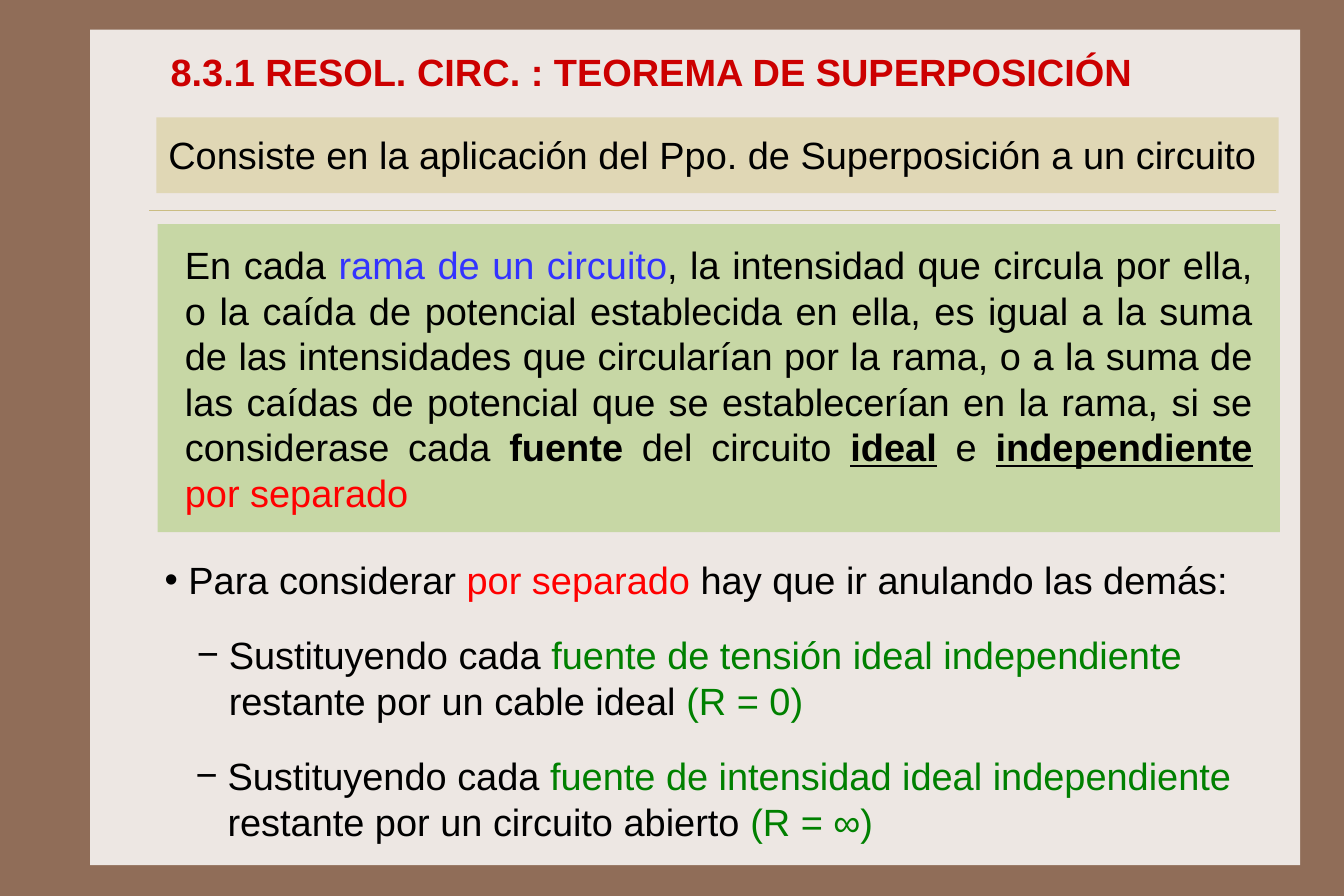
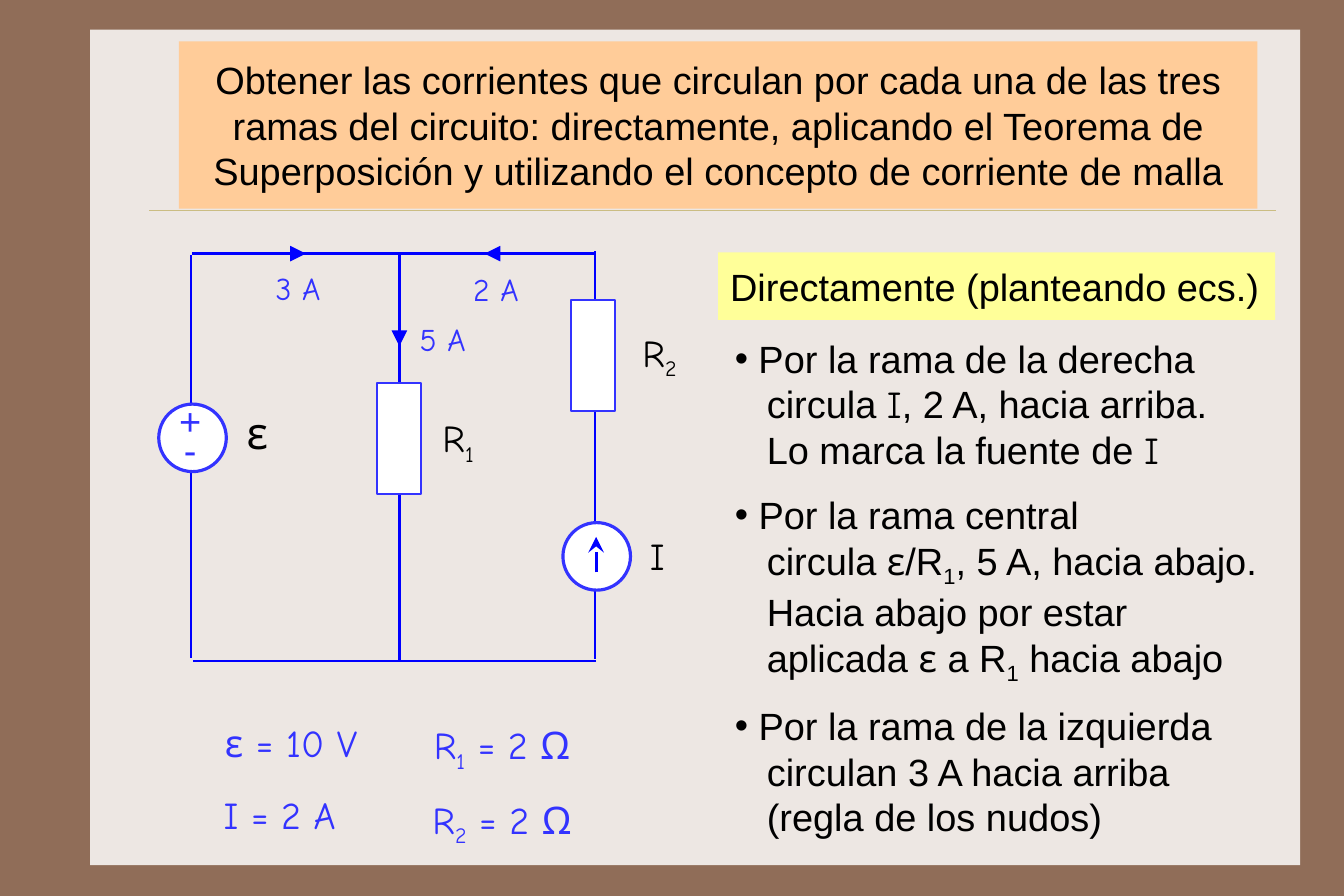
from lxml import etree
from pptx import Presentation
from pptx.dml.color import RGBColor
from pptx.enum.shapes import MSO_CONNECTOR, MSO_SHAPE
from pptx.enum.text import MSO_ANCHOR, PP_ALIGN
from pptx.oxml.ns import qn
from pptx.util import Pt

STRAIGHT = MSO_CONNECTOR.STRAIGHT
RECTANGLE, OVAL = MSO_SHAPE.RECTANGLE, MSO_SHAPE.OVAL
TOP, MIDDLE = MSO_ANCHOR.TOP, MSO_ANCHOR.MIDDLE
LEFT, CENTER, JUSTIFY = PP_ALIGN.LEFT, PP_ALIGN.CENTER, PP_ALIGN.JUSTIFY
PX = 9525
CONTINUATION = 27
SANS, COMIC = "Arial", "Comic Neue"
COLORS = {
    "frame": "906D58", "panel": "EDE7E3", "rule": "CBBD83",
    "sand": "E0D7B5", "sage": "C7D7A5", "peach": "FFCC99", "lemon": "FFFF99",
    "black": "000000", "white": "FFFFFF", "title": "CC0000", "red": "FF0000",
    "green": "008000", "blue": "3333FF", "wire": "0000FF",
}


def add_text(slide, box, paragraphs, fill=None, size=24, color="black", font=SANS,
             bold=False, align=LEFT, anchor=TOP, inset=(10, 12), bullet=None,
             hang=0, line_points=None):
    bounds = [value * PX for value in box]
    if fill:
        shape = slide.shapes.add_shape(RECTANGLE, *bounds)
        shape.shadow.inherit = False
        shape.fill.solid()
        shape.fill.fore_color.rgb = RGBColor.from_string(COLORS[fill])
        shape.line.fill.background()
    else:
        shape = slide.shapes.add_textbox(*bounds)
    frame = shape.text_frame
    frame.word_wrap = True
    frame.vertical_anchor = anchor
    frame.margin_left = frame.margin_right = inset[0] * PX
    frame.margin_top = frame.margin_bottom = inset[1] * PX
    for index, runs in enumerate(paragraphs):
        paragraph = frame.paragraphs[0] if index == 0 else frame.add_paragraph()
        paragraph.alignment = align
        if line_points:
            paragraph.line_spacing = Pt(line_points)
        if bullet:
            properties = paragraph._p.get_or_add_pPr()
            indent = hang if index == 0 else CONTINUATION
            properties.set("marL", str(indent * PX))
            properties.set("indent", str(-indent * PX if index == 0 else 0))
            if index == 0:
                etree.SubElement(properties, qn("a:buFont")).set("typeface", SANS)
                etree.SubElement(properties, qn("a:buChar")).set("char", bullet)
        for item in [runs] if isinstance(runs, str) else runs:
            text, style = (item, {}) if isinstance(item, str) else item
            run = paragraph.add_run()
            run.text = text
            run.font.name = style.get("font", font)
            run.font.size = Pt(size)
            run.font.bold = style.get("bold", bold)
            run.font.underline = style.get("underline", False)
            run.font.color.rgb = RGBColor.from_string(COLORS[style.get("color", color)])
            if style.get("subscript"):
                run._r.get_or_add_rPr().set("baseline", "-25000")


def add_line(slide, points, color="wire", width=1.5, arrow=None):
    line = slide.shapes.add_connector(STRAIGHT, *[value * PX for value in points])
    line.line.color.rgb = RGBColor.from_string(COLORS[color])
    line.line.width = Pt(width)
    if arrow:
        etree.SubElement(line.line._get_or_add_ln(), qn("a:tailEnd"),
                         type=arrow, w="lg", len="lg")
    etree.SubElement(line._element.spPr, qn("a:effectLst"))


presentation = Presentation()
presentation.slide_width = 1134 * PX
presentation.slide_height = 756 * PX
background = presentation.slide_master.background.fill
background.solid()
background.fore_color.rgb = RGBColor.from_string(COLORS["frame"])
slides = []
for number in range(2):
    slide = presentation.slides.add_slide(presentation.slide_layouts[6])
    add_text(slide, (76, 25, 1021, 705), [], fill="panel")
    add_line(slide, (126, 177, 1077, 177), color="rule", width=0.25)
    slides.append(slide)
theorem, example = slides

RED, GREEN, BLUE = {"color": "red"}, {"color": "green"}, {"color": "blue"}
STRONG = {"bold": True, "underline": True}
SUBSCRIPT, SYMBOL = {"subscript": True}, {"font": COMIC}

add_text(theorem, (133, 36, 920, 49), ["8.3.1 RESOL. CIRC. : TEOREMA DE SUPERPOSICIÓN"],
         color="title", bold=True, anchor=MIDDLE, inset=(11, 5))
add_text(theorem, (132, 99, 947, 64),
         ["Consiste en la aplicación del Ppo. de Superposición a un circuito"], fill="sand")
add_text(theorem, (133, 189, 947, 260), [[
    "En cada ", ("rama de un circuito", BLUE),
    ", la intensidad que circula por ella, o la caída de potencial establecida en ella, "
    "es igual a la suma de las intensidades que circularían por la rama, o a la suma de "
    "las caídas de potencial que se establecerían en la rama, si se considerase cada ",
    ("fuente", {"bold": True}), " del circuito ", ("ideal", STRONG), " e ",
    ("independiente", STRONG), " ", ("por separado", RED),
]], fill="sage", align=JUSTIFY, anchor=MIDDLE, inset=(23, 12))
add_text(theorem, (129, 458, 929, 64), [[
    "Para considerar ", ("por separado", RED), " hay que ir anulando las demás:",
]], bullet="•", hang=20)
for box, source, replacement, resistance in [
    ((156, 521, 853, 103), "fuente de tensión ideal independiente", "un cable ideal", "(R = 0)"),
    ((155, 623, 895, 103), "fuente de intensidad ideal independiente", "un circuito abierto", "(R = ∞)"),
]:
    add_text(theorem, box, [
        ["Sustituyendo cada ", (source, GREEN)],
        [f"restante por {replacement} ", (resistance, GREEN)],
    ], bullet="−", hang=CONTINUATION)

add_text(example, (151, 35, 910, 141), [
    "Obtener las corrientes que circulan por cada una de las tres ramas del circuito: "
    "directamente, aplicando el Teorema de Superposición y utilizando el concepto de "
    "corriente de malla",
], fill="peach", align=CENTER, anchor=MIDDLE)

for wire in [
    (502, 556, 502, 212), (337, 557, 337, 213), (161, 555, 161, 215),
    (503, 558, 163, 558), (502, 214, 162, 214),
]:
    add_line(example, wire)
for kind, box, width in [
    (RECTANGLE, (318, 323, 37, 94), 1.5), (RECTANGLE, (482, 253, 37, 94), 1.5),
    (OVAL, (134, 341, 57, 57), 2), (OVAL, (475, 441, 57, 57), 2),
]:
    component = example.shapes.add_shape(kind, *[value * PX for value in box])
    component.shadow.inherit = False
    component.fill.solid()
    component.fill.fore_color.rgb = RGBColor.from_string(COLORS["white"])
    component.line.color.rgb = RGBColor.from_string(COLORS["blue"])
    component.line.width = Pt(width)
add_line(example, (503, 483, 503, 453), width=2, arrow="stealth")
add_text(example, (140, 341, 41, 57), ["+", "-"], color="blue", align=CENTER,
         inset=(10, 9), line_points=18)

for box, runs, color, size in [
    ((507, 273, 99, 61), ["R", ("2", SUBSCRIPT)], "black", 24),
    ((349, 345, 75, 61), ["R", ("1", SUBSCRIPT)], "black", 24),
    ((516, 444, 77, 61), ["I"], "black", 24),
    ((190, 337, 54, 61), ["ε"], "black", 28),
    ((296, 604, 255, 61), ["R", ("1", SUBSCRIPT), " = 2 Ω"], "blue", 24),
    ((296, 667, 255, 61), ["R", ("2", SUBSCRIPT), " = 2 Ω"], "blue", 24),
    ((151, 663, 170, 61), ["I = 2 A"], "blue", 24),
    ((155, 602, 181, 61), ["ε = 10 V"], "blue", 24),
    ((374, 223, 89, 61), ["2 A"], "blue", 20),
    ((207, 222, 89, 61), ["3 A"], "blue", 20),
    ((329, 265, 89, 61), ["5 A"], "blue", 20),
]:
    add_text(example, box, [runs], font=COMIC, color=color, size=size, align=CENTER, inset=(9, 5))
for current in [(430, 214, 409, 214), (238, 214, 258, 214), (337, 272, 337, 292)]:
    add_line(example, current, width=1, arrow="triangle")

add_text(example, (606, 213, 470, 57), ["Directamente (planteando ecs.)"], fill="lemon",
         anchor=MIDDLE, inset=(10, 9))
for box, paragraphs in [
    ((608, 271, 454, 139), [
        "Por la rama de la derecha",
        ["circula ", ("I", SYMBOL), ", 2 A, hacia arriba."],
        ["Lo marca la fuente de ", ("I", SYMBOL)],
    ]),
    ((608, 408, 490, 178), [
        "Por la rama central",
        ["circula ", ("ε", SYMBOL), "/R", ("1", SUBSCRIPT), ", 5 A, hacia abajo."],
        "Hacia abajo por estar",
        ["aplicada ", ("ε", SYMBOL), " a R", ("1", SUBSCRIPT), " hacia abajo"],
    ]),
    ((608, 581, 490, 139), [
        "Por la rama de la izquierda",
        "circulan 3 A hacia arriba",
        "(regla de los nudos)",
    ]),
]:
    add_text(example, box, paragraphs, anchor=MIDDLE, inset=(12, 12), bullet="•", hang=20)

presentation.save("out.pptx")
